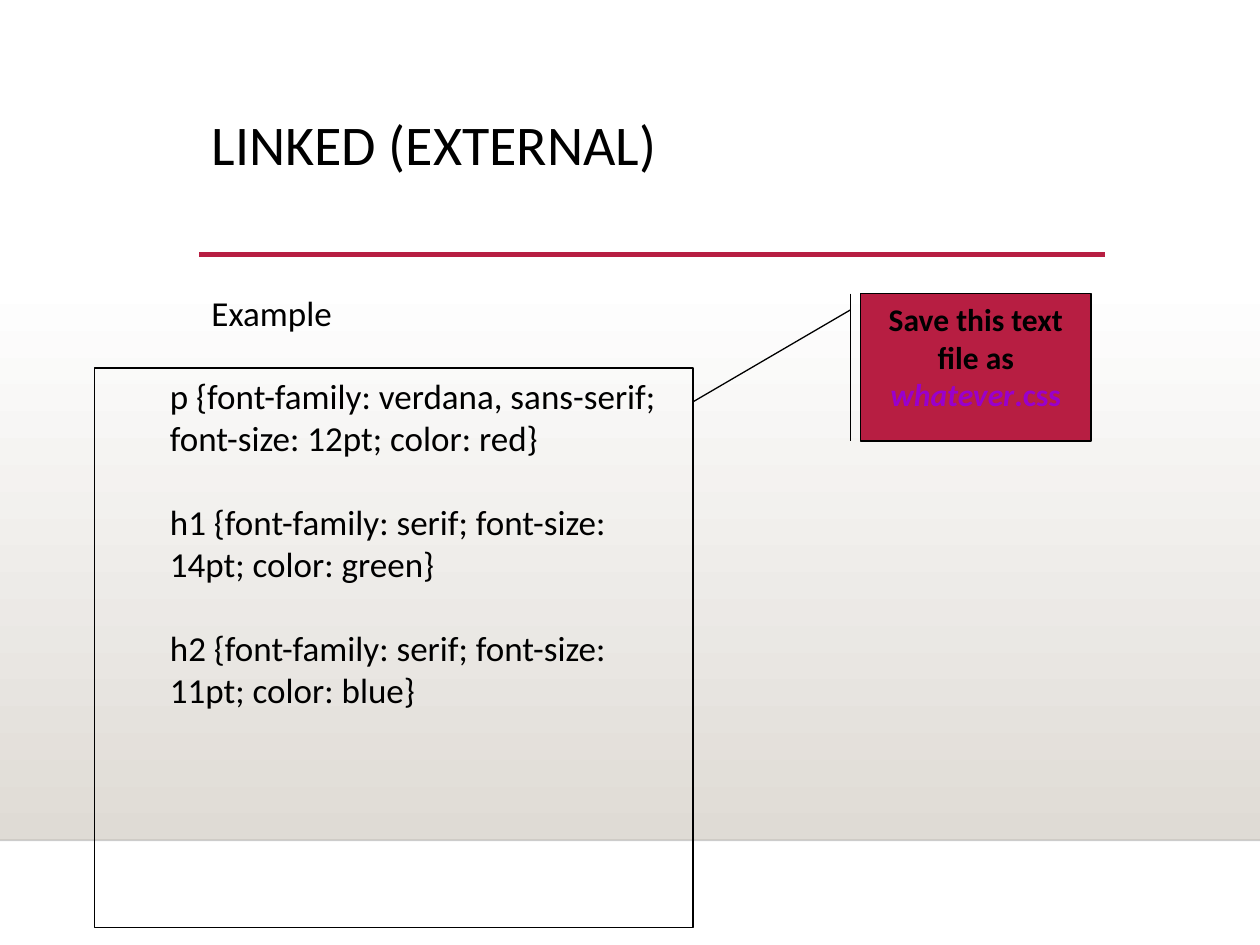
from lxml import etree
from pptx import Presentation
from pptx import util as u
from pptx.dml import color
from pptx.enum import shapes, text
from pptx.oxml import ns

FONT = "Calibri"
CRIMSON = "B71E42"
BLACK = "000000"
RULES = [
    "p {font-family: verdana, sans-serif; font-size: 12pt; color: red}",
    "h1 {font-family: serif; font-size: 14pt; color: green}",
    "h2 {font-family: serif; font-size: 11pt; color: blue}",
]


def paint(target, hex_value):
    target.rgb = color.RGBColor.from_string(hex_value)


def inches(box):
    return [u.Inches(length) for length in box]


def apply(target, formats):
    for name, value in formats.items():
        setattr(target, name, value)


def set_frame(frame):
    apply(frame, {
        "word_wrap": True,
        "auto_size": text.MSO_AUTO_SIZE.NONE,
        "vertical_anchor": text.MSO_ANCHOR.TOP,
        "margin_left": u.Inches(0.1), "margin_right": u.Inches(0.1),
        "margin_top": u.Inches(0.05), "margin_bottom": u.Inches(0.05),
    })


def add_run(paragraph, words, size, hex_value=BLACK, **formats):
    run = paragraph.add_run()
    run.text = words
    apply(run.font, {"name": FONT, "size": u.Pt(size), **formats})
    paint(run.font.color, hex_value)


def add_box(slide, kind, box, fill=None, border=None):
    shape = slide.shapes.add_shape(kind, *inches(box))
    shape.shadow.inherit = False
    if fill:
        shape.fill.solid()
        paint(shape.fill.fore_color, fill)
    else:
        shape.fill.background()
    if border:
        shape.line.width = u.Pt(0.75)
        paint(shape.line.color, border)
    else:
        shape.line.fill.background()
    set_frame(shape.text_frame)
    return shape


def add_rule(slide, left, top, width, hex_value, weight, opacity=100):
    rule = slide.shapes.add_connector(
        shapes.MSO_CONNECTOR.STRAIGHT, *inches((left, top, left + width, top)))
    rule.line.width = u.Pt(weight)
    paint(rule.line.color, hex_value)
    etree.SubElement(rule._element.spPr, ns.qn("a:effectLst"))
    if opacity < 100:
        tint = rule._element.spPr.find(".//" + ns.qn("a:srgbClr"))
        etree.SubElement(tint, ns.qn("a:alpha"), val=str(opacity * 1000))


def add_backdrop(slide, box):
    left, top, width, height = box
    backdrop = add_box(slide, shapes.MSO_SHAPE.RECTANGLE, box)
    backdrop.fill.gradient()
    backdrop.fill.gradient_angle = 270
    for stop, hex_value in zip(backdrop.fill.gradient_stops, ("FFFFFF", "DFDBD5")):
        paint(stop.color, hex_value)
    add_rule(slide, left, top + height, width, BLACK, 1, opacity=20)


def add_heading(slide, box):
    left, top, width, height = box
    heading = slide.shapes.title
    apply(heading, dict(zip(("left", "top", "width", "height"), inches(box))))
    set_frame(heading.text_frame)
    paragraph = heading.text_frame.paragraphs[0]
    apply(paragraph, {"alignment": text.PP_ALIGN.LEFT, "line_spacing": 0.9})
    add_run(paragraph, "LINKED (EXTERNAL)", 32)
    add_rule(slide, left, top + height, width, CRIMSON, 2.5)


def add_example_label(slide, box):
    label = slide.shapes.add_textbox(*inches(box))
    set_frame(label.text_frame)
    paragraph = label.text_frame.paragraphs[0]
    paragraph.line_spacing = 1.2
    add_run(paragraph, "Example", 20)


def add_stylesheet(slide, box):
    stylesheet = add_box(slide, shapes.MSO_SHAPE.RECTANGLE, box, border=BLACK)
    frame = stylesheet.text_frame
    for index, rule in enumerate(RULES):
        paragraph = frame.add_paragraph() if index else frame.paragraphs[0]
        apply(paragraph, {"alignment": text.PP_ALIGN.LEFT, "space_after": u.Pt(24)})
        paragraph._p.get_or_add_pPr().set("marL", str(u.Inches(0.5)))
        add_run(paragraph, rule, 20)


def add_save_callout(slide, box, bar_x, start_y, target):
    left, top, width, height = box
    callout = add_box(slide, shapes.MSO_SHAPE.LINE_CALLOUT_1_BORDER_AND_ACCENT_BAR,
                      box, fill=CRIMSON, border=BLACK)
    target_x, target_y = target
    ends = [(start_y - top) / height, (bar_x - left) / width,
            (target_y - top) / height, (target_x - left) / width]
    for index, value in enumerate(ends):
        callout.adjustments[index] = value
    paragraph = callout.text_frame.paragraphs[0]
    paragraph.alignment = text.PP_ALIGN.CENTER
    add_run(paragraph, "Save this text file as ", 18, bold=True)
    add_run(paragraph, "whatever", 18, "9900CC", bold=True, italic=True)
    add_run(paragraph, ".css", 18, "9900CC", bold=True)


def main():
    deck = Presentation()
    deck.slide_width, deck.slide_height = inches((10, 7.5))
    slide = deck.slides.add_slide(deck.slide_layouts.get_by_name("Title Only"))
    add_backdrop(slide, (0, 2.2, 10, 4.47))
    add_heading(slide, (1.58, 0.88, 7.19, 1.14))
    add_example_label(slide, (1.58, 2.2, 7.19, 3.77))
    add_stylesheet(slide, (0.75, 2.92, 4.75, 4.44))
    add_save_callout(slide, (6.83, 2.33, 1.83, 1.17), 6.75, 2.46, (5.5, 3.19))
    deck.save("out.pptx")


if __name__ == "__main__":
    main()
